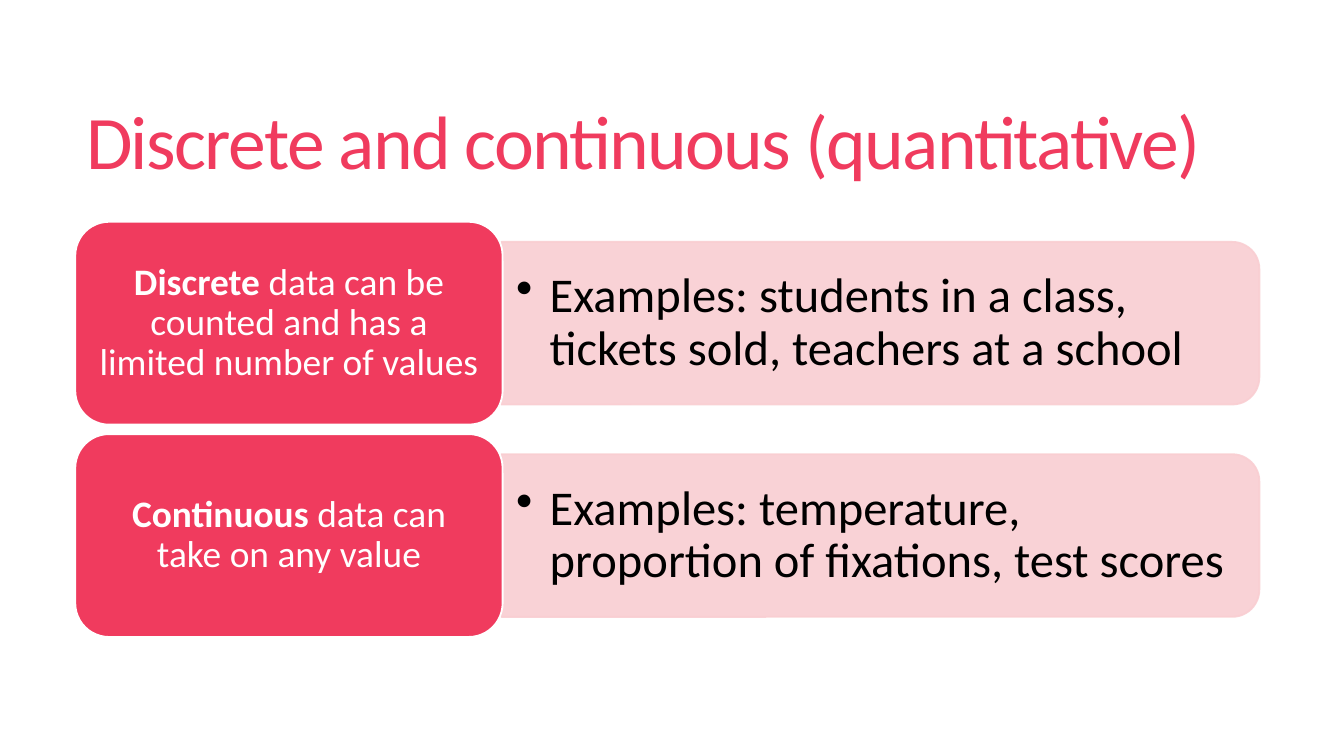
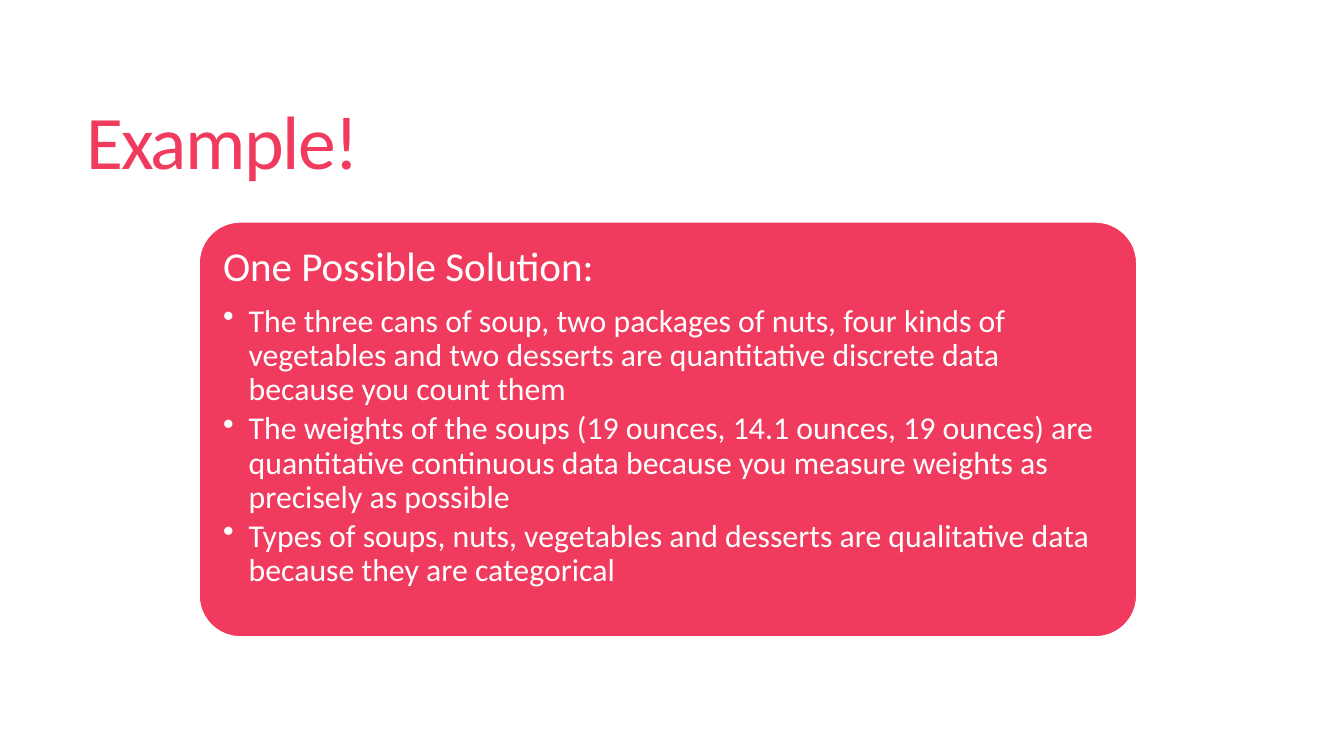
"""Build two slides on discrete and continuous data."""
from dataclasses import dataclass

from lxml import etree
from pptx import Presentation
from pptx.dml.color import RGBColor
from pptx.enum import shapes, text
from pptx.oxml import ns
from pptx.util import Inches, Pt

RED = RGBColor(0xF0, 0x3B, 0x5E)
PINK = RGBColor(0xF9, 0xCE, 0xD2)
WHITE = RGBColor(0xFF, 0xFF, 0xFF)
BLACK = RGBColor(0x00, 0x00, 0x00)
FONT = "Calibri"

CARD_LEFT, CARD_TOP, CARD_WIDTH, CARD_HEIGHT = 0.56, 1.65, 3.18, 1.51
ROW_PITCH = 1.58
BAND_LEFT, BAND_LENGTH, BAND_HEIGHT = 3.73, 5.64, 1.21


@dataclass(frozen=True)
class Box:
    left: float
    top: float
    width: float
    height: float

    def inset(self, gap: float) -> "Box":
        return Box(self.left + gap, self.top + gap, self.width - 2 * gap, self.height - 2 * gap)

    def lengths(self) -> tuple:
        return tuple(Inches(side) for side in (self.left, self.top, self.width, self.height))


@dataclass(frozen=True)
class Style:
    size: float
    color: RGBColor
    after: float = 0
    indent: float = 0
    align: text.PP_ALIGN = text.PP_ALIGN.LEFT
    spacing: float = 0.9


@dataclass(frozen=True)
class DataKind:
    term: str
    meaning: str
    examples: str


TITLE = Style(40.5, RED, spacing=0.85)
MEANING = Style(20, WHITE, after=7, align=text.PP_ALIGN.CENTER)
EXAMPLES = Style(26, BLACK, after=3.9, indent=0.25)
HEADING = Style(22, WHITE, after=7.7)
POINT = Style(17, WHITE, after=2.55, indent=0.19)

KINDS = (
    DataKind("Discrete ", "data can be counted and has a limited number of values",
             "Examples: students in a class, tickets sold, teachers at a school"),
    DataKind("Continuous ", "data can take on any value",
             "Examples: temperature, proportion of fixations, test scores"),
)
POINTS = (
    "The three cans of soup, two packages of nuts, four kinds of vegetables and two desserts "
    "are quantitative discrete data because you count them",
    "The weights of the soups (19 ounces, 14.1 ounces, 19 ounces) are quantitative continuous "
    "data because you measure weights as precisely as possible",
    "Types of soups, nuts, vegetables and desserts are qualitative data because they are "
    "categorical",
)


def write(para, words: str, style: Style, bold_lead: str = "") -> None:
    if style.indent:
        para.level = 1
        props = para._p.get_or_add_pPr()
        props.set("marL", str(Inches(style.indent)))
        props.set("indent", str(-Inches(style.indent)))
        etree.SubElement(props, ns.qn("a:buChar")).set("char", "•")
    para.alignment = style.align
    para.line_spacing = style.spacing
    para.space_before = Pt(0)
    para.space_after = Pt(style.after)
    para.font.name = FONT
    para.font.size = Pt(style.size)
    para.font.color.rgb = style.color
    if bold_lead:
        lead = para.add_run()
        lead.text = bold_lead
        lead.font.bold = True
    para.add_run().text = words


def add_title_page(deck, title: str):
    page = deck.slides.add_slide(deck.slide_layouts[5])
    holder = page.shapes.title
    holder.left, holder.top, holder.width, holder.height = Box(0.54, 0.41, 8.84, 1.36).lengths()
    frame = holder.text_frame
    frame.auto_size = text.MSO_AUTO_SIZE.NONE
    frame.vertical_anchor = text.MSO_ANCHOR.MIDDLE
    para = frame.paragraphs[0]
    write(para, title, TITLE)
    para.runs[0]._r.get_or_add_rPr().set("spc", "-90")
    return page


def add_panel(page, kind: shapes.MSO_SHAPE, box: Box, fill: RGBColor, line: RGBColor):
    panel = page.shapes.add_shape(kind, *box.lengths())
    panel.shadow.inherit = False
    panel.fill.solid()
    panel.fill.fore_color.rgb = fill
    panel.line.color.rgb = line
    panel.line.width = Pt(1)
    return panel


def add_frame(page, box: Box, side: float, edge: float, anchor: text.MSO_ANCHOR):
    frame = page.shapes.add_textbox(*box.lengths()).text_frame
    frame.word_wrap = True
    frame.vertical_anchor = anchor
    frame.margin_left = frame.margin_right = Inches(side)
    frame.margin_top = frame.margin_bottom = Inches(edge)
    return frame


def add_kind_row(page, kind: DataKind, top: float) -> None:
    middle = top + CARD_HEIGHT / 2
    center = BAND_LEFT + BAND_LENGTH / 2
    upright = Box(center - BAND_HEIGHT / 2, middle - BAND_LENGTH / 2, BAND_HEIGHT, BAND_LENGTH)
    band = add_panel(page, shapes.MSO_SHAPE.ROUND_2_SAME_RECTANGLE, upright, PINK, PINK)
    band.rotation = 90
    for color in band._element.spPr.iter(ns.qn("a:srgbClr")):
        etree.SubElement(color, ns.qn("a:alpha")).set("val", "90000")
    frame = add_frame(page, Box(BAND_LEFT, middle - 0.545, 5.59, 1.09), 0.11, 0.05,
                      text.MSO_ANCHOR.MIDDLE)
    write(frame.paragraphs[0], kind.examples, EXAMPLES)

    card = Box(CARD_LEFT, top, CARD_WIDTH, CARD_HEIGHT)
    add_panel(page, shapes.MSO_SHAPE.ROUNDED_RECTANGLE, card, RED, WHITE)
    frame = add_frame(page, card.inset(0.08), 0.08, 0.04, text.MSO_ANCHOR.MIDDLE)
    write(frame.paragraphs[0], kind.meaning, MEANING, kind.term)


def add_solution(page) -> None:
    card = Box(1.48, CARD_TOP, 6.98, CARD_HEIGHT + ROW_PITCH)
    panel = add_panel(page, shapes.MSO_SHAPE.ROUNDED_RECTANGLE, card, RED, WHITE)
    panel.adjustments[0] = 0.1
    frame = add_frame(page, card.inset(0.09), 0.09, 0.09, text.MSO_ANCHOR.TOP)
    write(frame.paragraphs[0], "One Possible Solution:", HEADING)
    for point in POINTS:
        write(frame.add_paragraph(), point, POINT)


def main() -> None:
    deck = Presentation()
    deck.slide_width = Inches(10)
    deck.slide_height = deck.slide_width * 9 // 16
    page = add_title_page(deck, "Discrete and continuous (quantitative)")
    for row, kind in enumerate(KINDS):
        add_kind_row(page, kind, CARD_TOP + row * ROW_PITCH)
    add_solution(add_title_page(deck, "Example!"))
    deck.save("out.pptx")


if __name__ == "__main__":
    main()
